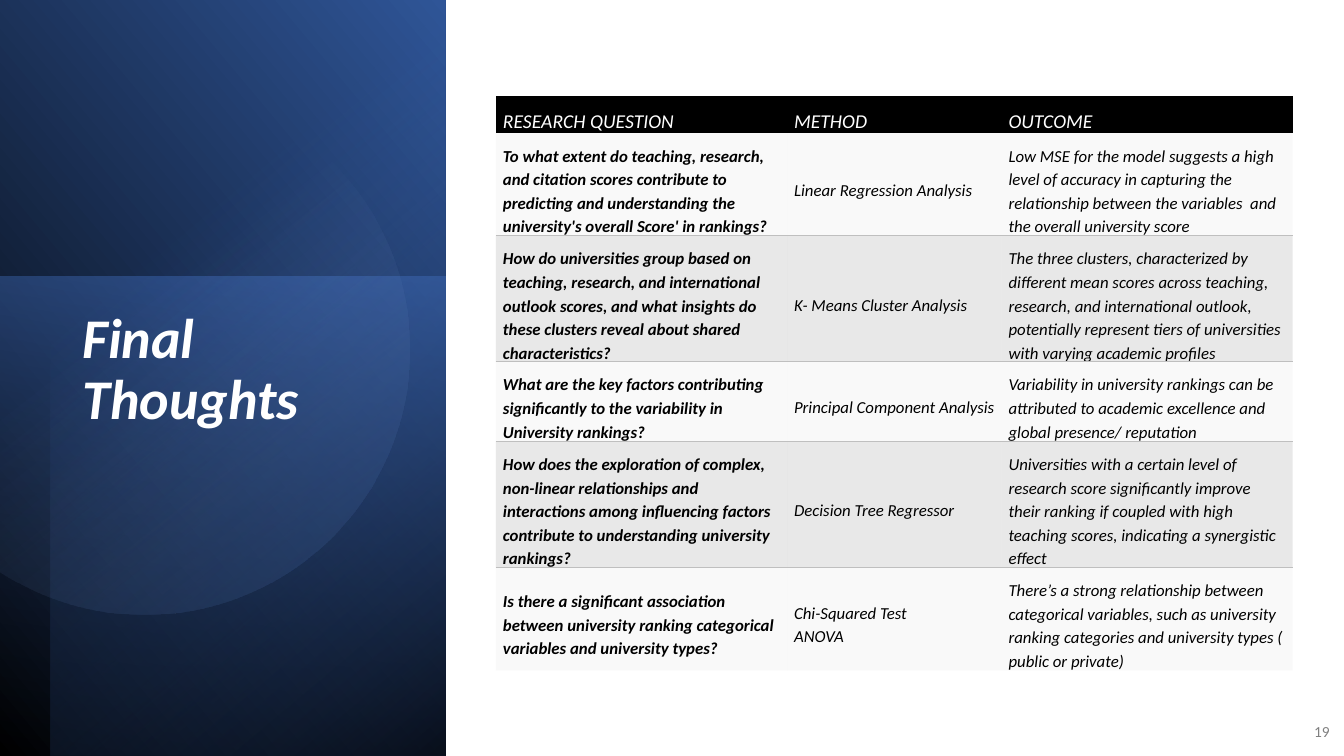
from dataclasses import dataclass
from math import acos, cos, sin

from lxml import etree
from pptx import Presentation
from pptx.dml.color import RGBColor
from pptx.enum.shapes import MSO_SHAPE
from pptx.enum.text import MSO_ANCHOR, PP_ALIGN
from pptx.oxml.ns import qn
from pptx.util import Pt

RECTANGLE = MSO_SHAPE.RECTANGLE
MIDDLE = MSO_ANCHOR.MIDDLE
LEFT = PP_ALIGN.LEFT
RIGHT = PP_ALIGN.RIGHT

BLACK = RGBColor(0x00, 0x00, 0x00)
WHITE = RGBColor(0xFF, 0xFF, 0xFF)
NAVY = RGBColor(0x20, 0x38, 0x64)
DEEP_BLUE = RGBColor(0x2F, 0x55, 0x97)
BLUE = RGBColor(0x44, 0x72, 0xC4)
LIGHT_BLUE = RGBColor(0x8F, 0xAA, 0xDC)
GRAY = RGBColor(0x80, 0x80, 0x80)
RULE_GRAY = RGBColor(0xBF, 0xBF, 0xBF)
PALE_GRAY = RGBColor(0xF2, 0xF2, 0xF2)

FONT = "Calibri"
NO_STYLE = "{2D5ABB26-0587-4C30-8999-92F81FD0307C}"
COLUMN_WIDTHS = (208, 153.2, 208)


@dataclass(frozen=True)
class Stop:
    position: int
    color: RGBColor
    opacity: int = 100


@dataclass(frozen=True)
class Panel:
    left: float
    top: float
    width: float
    height: float
    rotation: int
    flipped: bool
    angle: int
    stops: tuple[Stop, ...]


@dataclass(frozen=True)
class Row:
    height: float
    question: str
    method: str
    outcome: str


PANELS = (
    Panel(-111.6, 111.6, 541.44, 318.24, 90, True, 310,
          (Stop(0, BLACK), Stop(100, DEEP_BLUE))),
    Panel(-12.24, 209.52, 342.72, 318.24, 270, False, 190,
          (Stop(0, BLUE, 50), Stop(100, NAVY, 0))),
    Panel(-92.88, 128.88, 540, 282.24, 270, True, 220,
          (Stop(0, BLACK, 59), Stop(69, BLUE, 0))),
)

ROWS = (
    Row(26.64, "RESEARCH QUESTION", "METHOD", "OUTCOME"),
    Row(72,
        "To what extent do teaching, research, and citation scores contribute to "
        "predicting and understanding the university's overall Score' in rankings?",
        "Linear Regression Analysis",
        "Low MSE for the model suggests a high level of accuracy in capturing the "
        "relationship between the variables  and the overall university score"),
    Row(87.84,
        "How do universities group based on teaching, research, and international "
        "outlook scores, and what insights do these clusters reveal about shared "
        "characteristics?",
        "K- Means Cluster Analysis",
        "The three clusters, characterized by different mean scores across teaching, "
        "research, and international outlook, potentially represent tiers of "
        "universities with varying academic profiles"),
    Row(56.16,
        "What are the key factors contributing significantly to the variability in "
        "University rankings?",
        "Principal Component Analysis",
        "Variability in university rankings can be attributed to academic excellence "
        "and global presence/ reputation"),
    Row(87.84,
        "How does the exploration of complex, non-linear relationships and "
        "interactions among influencing factors contribute to understanding "
        "university rankings?",
        "Decision Tree Regressor",
        "Universities with a certain level of research score significantly improve "
        "their ranking if coupled with high teaching scores, indicating a "
        "synergistic effect"),
    Row(72,
        "Is there a significant association between university ranking categorical "
        "variables and university types?",
        "Chi-Squared Test\nANOVA",
        "There’s a strong relationship between categorical variables, such as "
        "university ranking categories and university types ( public or private)"),
)


def add_color(parent, color: RGBColor, opacity: int = 100) -> None:
    element = etree.SubElement(parent, qn("a:srgbClr"), val=str(color))
    if opacity < 100:
        etree.SubElement(element, qn("a:alpha"), val=str(opacity * 1000))


def paint_gradient(shape, angle: int, stops: tuple[Stop, ...]) -> None:
    shape.shadow.inherit = False
    shape.line.fill.background()
    shape.fill.background()
    properties = shape._element.spPr
    gradient = etree.Element(qn("a:gradFill"), rotWithShape="1")
    stop_list = etree.SubElement(gradient, qn("a:gsLst"))
    for stop in stops:
        element = etree.SubElement(stop_list, qn("a:gs"), pos=str(stop.position * 1000))
        add_color(element, stop.color, stop.opacity)
    etree.SubElement(gradient, qn("a:lin"), ang=str(angle * 60000), scaled="0")
    properties.replace(properties.find(qn("a:noFill")), gradient)


def add_panel(slide, panel: Panel) -> None:
    shape = slide.shapes.add_shape(
        RECTANGLE, Pt(panel.left), Pt(panel.top), Pt(panel.width), Pt(panel.height))
    shape.rotation = panel.rotation
    if panel.flipped:
        shape._element.spPr.find(qn("a:xfrm")).set("flipH", "1")
    paint_gradient(shape, panel.angle, panel.stops)


def add_cut_circle(slide) -> None:
    center_x, center_y, radius, segments = 103, 249.8, 189.4, 120
    half_sweep = acos(-center_x / radius)
    angles = [half_sweep * (2 * step / segments - 1) for step in range(segments + 1)]
    points = [(Pt(center_x + radius * cos(angle)), Pt(center_y + radius * sin(angle)))
              for angle in angles]
    builder = slide.shapes.build_freeform(*points[0])
    builder.add_line_segments(points[1:], close=True)
    paint_gradient(builder.convert_to_shape(), 52,
                   (Stop(39, LIGHT_BLUE, 0), Stop(100, DEEP_BLUE, 26)))


def format_text(text_frame, size: float, color: RGBColor, spacing: float,
                bold: bool = False, italic: bool = False,
                alignment: PP_ALIGN = LEFT) -> None:
    text_frame.word_wrap = True
    for paragraph in text_frame.paragraphs:
        paragraph.line_spacing = spacing
        paragraph.alignment = alignment
        for run in paragraph.runs:
            run.font.name = FONT
            run.font.size = Pt(size)
            run.font.bold = bold
            run.font.italic = italic
            run.font.color.rgb = color


def add_rule(cell, edge: str) -> None:
    line = etree.Element(qn(edge), w=str(Pt(1)))
    add_color(etree.SubElement(line, qn("a:solidFill")), RULE_GRAY)
    cell._tc.get_or_add_tcPr().insert(0, line)


def fill_cell(cell, color: RGBColor, opacity: int) -> None:
    cell.fill.solid()
    cell.fill.fore_color.rgb = color
    element = cell._tc.tcPr.find(qn("a:solidFill")).find(qn("a:srgbClr"))
    etree.SubElement(element, qn("a:alpha"), val=str(opacity * 1000))


def add_findings_table(slide) -> None:
    table = slide.shapes.add_table(
        len(ROWS), len(COLUMN_WIDTHS), Pt(354.24), Pt(68.4),
        Pt(sum(COLUMN_WIDTHS)), Pt(sum(row.height for row in ROWS))).table
    table._tbl.tblPr.find(qn("a:tableStyleId")).text = NO_STYLE
    table.horz_banding = False
    for column, width in zip(table.columns, COLUMN_WIDTHS):
        column.width = Pt(width)
    for row_index, row in enumerate(ROWS):
        table.rows[row_index].height = Pt(row.height)
        header, shaded = row_index == 0, row_index % 2 == 0
        for column_index, text in enumerate((row.question, row.method, row.outcome)):
            cell = table.cell(row_index, column_index)
            cell.text_frame.text = text
            cell.vertical_anchor = MIDDLE
            cell.margin_left = cell.margin_right = Pt(5)
            cell.margin_top, cell.margin_bottom = Pt(7.2), Pt(0)
            format_text(cell.text_frame, 14 if header else 12,
                        WHITE if header else BLACK, 1.15,
                        bold=not header and column_index == 0, italic=True)
            if header:
                fill_cell(cell, BLACK, 100)
                continue
            fill_cell(cell, RULE_GRAY if shaded else PALE_GRAY, 35 if shaded else 45)
            if row_index < len(ROWS) - 1:
                add_rule(cell, "a:lnT" if shaded else "a:lnB")


def main() -> None:
    presentation = Presentation()
    presentation.slide_width, presentation.slide_height = Pt(960), Pt(540)
    slide = presentation.slides.add_slide(presentation.slide_layouts[6])
    for panel in PANELS:
        add_panel(slide, panel)
    add_cut_circle(slide)

    title = slide.shapes.add_textbox(Pt(51.84), Pt(218.16), Pt(226.8), Pt(241.92))
    title.text_frame.text = "Final Thoughts"
    format_text(title.text_frame, 40, WHITE, 0.9, bold=True, italic=True)

    page_number = slide.shapes.add_textbox(Pt(921.6), Pt(508.32), Pt(35.28), Pt(28.8))
    page_number.text_frame.text = "19"
    page_number.text_frame.vertical_anchor = MIDDLE
    format_text(page_number.text_frame, 11, GRAY, 1, alignment=RIGHT)
    page_number.text_frame.paragraphs[0].space_after = Pt(6)

    add_findings_table(slide)
    presentation.save("out.pptx")


if __name__ == "__main__":
    main()
